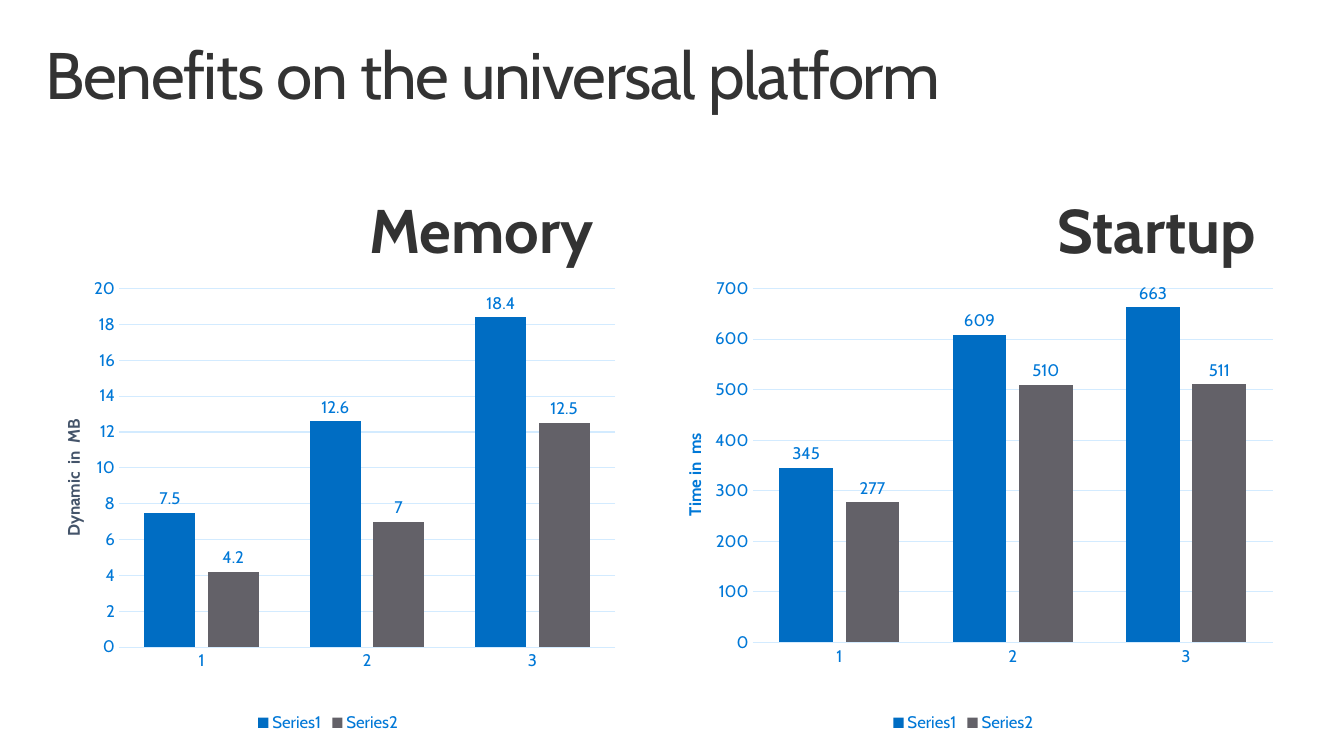
"""Build a slide with two column charts on memory and startup benefits."""
from lxml.etree import SubElement
from pptx import Presentation
from pptx.chart.data import CategoryChartData
from pptx.dml.color import RGBColor
from pptx.enum.chart import XL_CHART_TYPE, XL_LABEL_POSITION, XL_LEGEND_POSITION, XL_TICK_MARK
from pptx.enum.text import MSO_ANCHOR, MSO_AUTO_SIZE, PP_ALIGN
from pptx.oxml.ns import qn
from pptx.util import Pt

PX = 9144
DARK = RGBColor(0x33, 0x33, 0x33)
BLUE = RGBColor(0x00, 0x78, 0xD7)
SLATE = RGBColor(0x44, 0x54, 0x6A)
PALE = RGBColor(0xD3, 0xEB, 0xFF)
FILLS = [RGBColor(0x00, 0x6D, 0xC3), RGBColor(0x63, 0x61, 0x68)]


def style(font, size, color, bold=False):
    font.name = "Cabin"
    font.size = Pt(size)
    font.bold = bold
    font.color.rgb = color


def place(parent, index, **parts):
    for old in parent.findall(qn("c:layout")):
        parent.remove(old)
    layout = SubElement(parent, qn("c:layout"))
    parent.insert(index, layout)
    manual = SubElement(layout, qn("c:manualLayout"))
    for tag, value in parts.items():
        SubElement(manual, qn("c:" + tag)).set("val", str(value))


prs = Presentation()
prs.slide_width, prs.slide_height = 1333 * PX, 750 * PX
slide = prs.slides.add_slide(prs.slide_layouts[5])

title = slide.shapes.title
title.left, title.top, title.width, title.height = [n * PX for n in (29, 32, 1275, 98)]
frame = title.text_frame
frame.text = "Benefits on the universal platform"
frame.word_wrap = True
frame.auto_size = MSO_AUTO_SIZE.NONE
frame.vertical_anchor = MSO_ANCHOR.TOP
frame.margin_left = frame.margin_right = 16 * PX
frame.margin_top = frame.margin_bottom = 10 * PX
para = frame.paragraphs[0]
para.alignment = PP_ALIGN.LEFT
para.line_spacing = 0.9
style(para.font, 47, DARK)
para.runs[0].font._element.set("spc", "-100")

panels = [
    ("Startup", 885, 629, 653, "Time in  ms", BLUE, (0.07, 0.35),
     (0.18, 0.05, 0.79, 0.75), 700, 100, [(345, 609, 663), (277, 510, 511)]),
    ("Memory", 228, 29, 593, "Dynamic  in  MB", SLATE, (0.05, 0.32),
     (0.15, 0.05, 0.83, 0.76), 20, 2, [(7.5, 12.6, 18.4), (4.2, 7, 12.5)]),
]
for name, head, left, width, unit, tint, spot, area, top, step, rows in panels:
    data = CategoryChartData()
    data.categories = ["1", "2", "3"]
    for num, row in enumerate(rows, 1):
        data.add_series(f"Series{num}", row)
    chart = slide.shapes.add_chart(
        XL_CHART_TYPE.COLUMN_CLUSTERED, left * PX, 263 * PX, width * PX, 468 * PX, data).chart
    style(chart.font, 10, DARK)
    chart.has_title = False
    chart.has_legend = True
    chart.legend.position = XL_LEGEND_POSITION.BOTTOM
    chart.legend.include_in_layout = False
    style(chart.legend.font, 12, BLUE)

    plot = chart.plots[0]
    plot.gap_width, plot.overlap = 100, -24
    plot.vary_by_categories = False
    for series, fill in zip(plot.series, FILLS):
        series.format.fill.solid()
        series.format.fill.fore_color.rgb = fill
        labels = series.data_labels
        labels.show_value = True
        labels.position = XL_LABEL_POSITION.OUTSIDE_END
        style(labels.font, 12, BLUE)

    cat, val = chart.category_axis, chart.value_axis
    for axis in (cat, val):
        axis.major_tick_mark = axis.minor_tick_mark = XL_TICK_MARK.NONE
        style(axis.tick_labels.font, 12, BLUE)
    val.minimum_scale, val.maximum_scale, val.major_unit = 0, top, step
    val.format.line.fill.background()
    for line in (cat.format.line, val.major_gridlines.format.line):
        line.color.rgb = PALE
        line.width = Pt(0.75)
    label = val.axis_title.text_frame
    label.text = unit
    label._txBody.bodyPr.set("rot", "-5400000")
    label._txBody.bodyPr.set("vert", "horz")
    style(label.paragraphs[0].font, 12, tint, True)
    place(val.axis_title._element, 1, xMode="edge", yMode="edge", x=spot[0], y=spot[1])
    x, y, w, h = area
    place(chart._chartSpace.chart.plotArea, 0, layoutTarget="inner",
          xMode="edge", yMode="edge", x=x, y=y, w=w, h=h)

    box = slide.shapes.add_textbox(head * PX, 183 * PX, 381 * PX, 99 * PX).text_frame
    box.text = name
    box.word_wrap = True
    box.auto_size = MSO_AUTO_SIZE.SHAPE_TO_FIT_TEXT
    box.margin_left = box.margin_right = 20 * PX
    box.margin_top = box.margin_bottom = 16 * PX
    para = box.paragraphs[0]
    para.alignment = PP_ALIGN.RIGHT
    para.line_spacing = 0.9
    para.space_after = Pt(6)
    style(para.font, 44, DARK, True)

prs.save("out.pptx")
